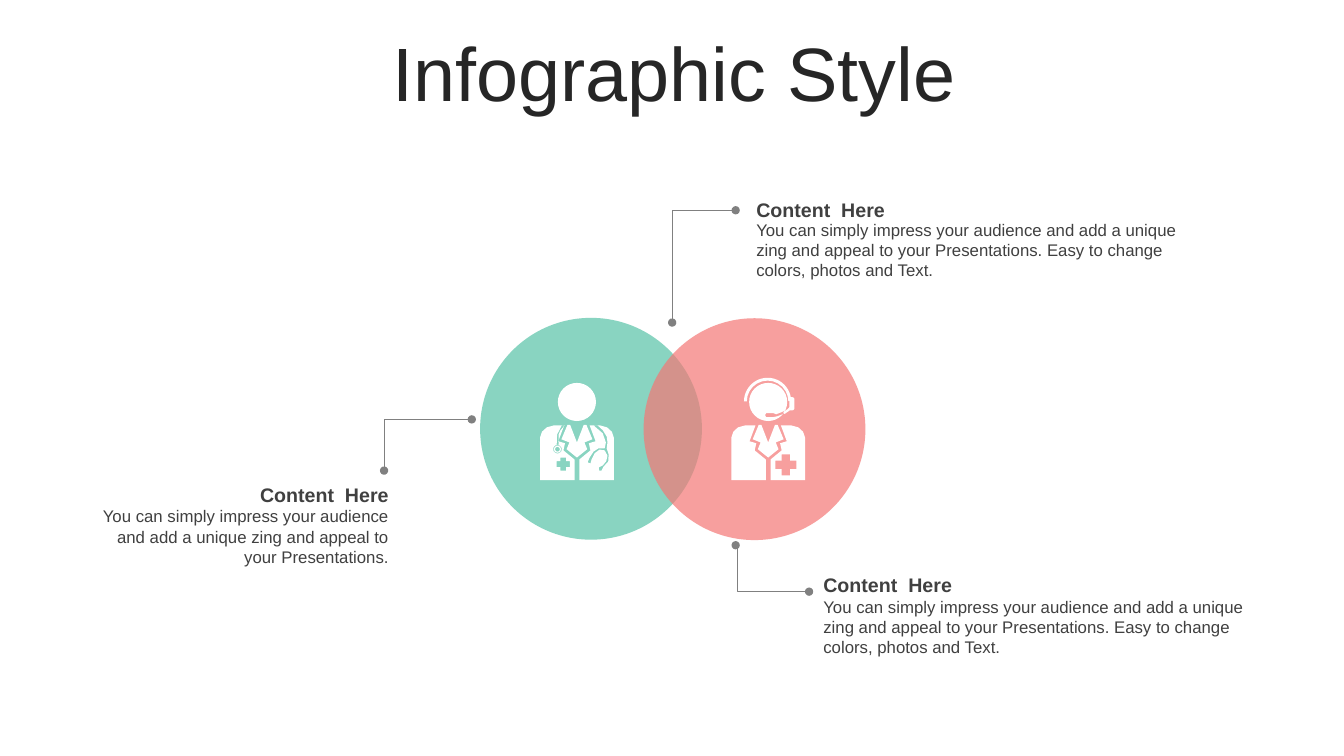
from math import cos, pi, sin

from lxml import etree
from pptx import Presentation
from pptx.dml.color import RGBColor
from pptx.enum.shapes import MSO_CONNECTOR, MSO_SHAPE
from pptx.enum.text import MSO_ANCHOR, MSO_AUTO_SIZE, PP_ALIGN
from pptx.oxml.ns import qn
from pptx.util import Cm, Pt

OVAL = MSO_SHAPE.OVAL
ARC = MSO_SHAPE.BLOCK_ARC
TOPS = MSO_SHAPE.ROUND_2_SAME_RECTANGLE
ELBOW = MSO_CONNECTOR.ELBOW
LEFT, MID, RIGHT = PP_ALIGN.LEFT, PP_ALIGN.CENTER, PP_ALIGN.RIGHT
MIDDLE = MSO_ANCHOR.MIDDLE
GROW = MSO_AUTO_SIZE.SHAPE_TO_FIT_TEXT

WHITE, INK, TEXT, GREY = "FFFFFF", "262626", "404040", "808080"
GREEN, PINK = "57C3A7", "F47775"

SHORT = ("You can simply impress your audience and add a unique "
         "zing and appeal to your Presentations.")
LONG = SHORT + " Easy to change colors, photos and Text."

# Outlines in cm from the top middle of the head; those inside others are holes
COAT = [(0.32, 1.07), (0.58, 1.07), (0.76, 1.12), (0.88, 1.23), (0.93, 1.38),
        (0.93, 2.45), (0.06, 2.45), (0.06, 1.93), (0.34, 1.7), (0.3, 1.52),
        (0.47, 1.47)]
COLLAR = [(0.17, 1.06), (0.24, 1.06), (0.39, 1.42), (0.19, 1.5), (0.26, 1.67)]
TUBE = [(-0.38, 1.07), (-0.5, 1.3), (-0.51, 1.56), (-0.46, 1.56),
        (-0.46, 1.3), (-0.42, 1.2), (-0.31, 1.07)]
LOOP = [(0.42, 1.07), (0.65, 1.27), (0.73, 1.5), (0.7, 1.65), (0.54, 1.65),
        (0.42, 1.73), (0.32, 1.88), (0.27, 2), (0.34, 2.03), (0.37, 1.93),
        (0.45, 1.77), (0.57, 1.68), (0.7, 1.7), (0.77, 1.83), (0.74, 1.97),
        (0.65, 2.08), (0.55, 2.13), (0.56, 2.21), (0.62, 2.21), (0.67, 2.11),
        (0.79, 1.98), (0.8, 1.8), (0.75, 1.65), (0.77, 1.5), (0.75, 1.35),
        (0.65, 1.19), (0.52, 1.07)]
MIKE = [(0.43, 0.69), (0.33, 0.74), (0.2, 0.79), (0.13, 0.76), (-0.05, 0.76),
        (-0.08, 0.81), (-0.05, 0.86), (0.13, 0.86), (0.23, 0.84), (0.36, 0.79)]


def color(hue):
    return RGBColor.from_string(hue)


def paint(part, hue):
    part.shadow.inherit = False
    part.fill.solid()
    part.fill.fore_color.rgb = color(hue)
    part.line.fill.background()
    return part


def shape(parts, kind, x, y, w, h, hue, adj=()):
    part = parts.add_shape(kind, Cm(x), Cm(y), Cm(w), Cm(h))
    for i, val in enumerate(adj):
        part.adjustments[i] = val
    return paint(part, hue)


def text(parts, x, y, w, h, words, size, hue, align, bold=False):
    box = parts.add_textbox(Cm(x), Cm(y), Cm(w), Cm(h))
    frame = box.text_frame
    frame.word_wrap = True
    frame.text = words
    para = frame.paragraphs[0]
    para.alignment = align
    font = para.runs[0].font
    font.name, font.size, font.bold = "Arial", Pt(size), bold
    font.color.rgb = color(hue)
    return frame


def title(parts, x, y, w, h):
    frame = text(parts, x, y, w, h, "Infographic Style", 54, INK, MID)
    frame.vertical_anchor = MIDDLE
    frame.paragraphs[0].line_spacing = 0.9


def note(parts, x, y, w, drop, words, align):
    group = parts.add_group_shape().shapes
    head = text(group, x, y, w, 0.86, "Content  Here", 14, TEXT, align, True)
    body = text(group, x, y + drop, w, 1.8, words, 12, TEXT, align)
    head.auto_size = body.auto_size = GROW


def ring(parts, x, y, size, hue):
    part = shape(parts, OVAL, x, y, size, size, hue)
    tone = part.fill._xPr.find(qn("a:solidFill"))[0]
    etree.SubElement(tone, qn("a:alpha")).set("val", "70000")


def link(parts, x, y, to_x, to_y, bend=700):
    line = parts.add_connector(ELBOW, Cm(x), Cm(y), Cm(to_x), Cm(to_y))
    line.line.color.rgb = color(GREY)
    line.line.width = Pt(0.5)
    props = line._element.spPr
    # Turn right at the start, so that the line makes one corner
    turn = etree.SubElement(props.find(qn("a:prstGeom")).find(qn("a:avLst")),
                            qn("a:gd"))
    turn.set("name", "adj1")
    turn.set("fmla", f"val {bend}")
    for end in ("a:headEnd", "a:tailEnd"):
        etree.SubElement(props.find(qn("a:ln")), qn(end)).set("type", "oval")
    etree.SubElement(props, qn("a:effectLst"))


def flip(points):
    return [(-dx, dy) for dx, dy in points]


def round_(x, y, r, count):
    turns = [2 * pi * i / count for i in range(count)]
    return [(x + r * cos(t), y + r * sin(t)) for t in turns]


def cross(x, y, size, arm):
    """Outline of a plus sign with its top left corner at x, y."""
    a, b = (size - arm) / 2, (size + arm) / 2
    spots = [(a, 0), (b, 0), (b, a), (size, a), (size, b), (b, b),
             (b, size), (a, size), (a, b), (0, b), (0, a), (a, a)]
    return [(x + dx, y + dy) for dx, dy in spots]


def person(parts, x, y, marks):
    """Head and coat with the given marks cut out, as one shape."""
    collar = COLLAR + [(0, 1.88)] + flip(COLLAR)[::-1] + [(0, 1.5)]
    loops = [round_(0, 0.48, 0.48, 32), COAT, flip(COAT), collar] + marks
    form = None
    for loop in loops:
        spots = [(Cm(x + dx), Cm(y + dy)) for dx, dy in loop]
        if form is None:
            form = parts.build_freeform(*spots[0], scale=1.0)
        else:
            form.move_to(*spots[0])
        form.add_line_segments(spots[1:], close=True)
    paint(form.convert_to_shape(), WHITE)


def doctor(parts, x, y):
    disc = [round_(-0.49, 1.67, r, 12) for r in (0.11, 0.09, 0.06)]
    person(parts, x, y, [cross(-0.51, 1.88, 0.33, 0.15), TUBE, LOOP] + disc)


def nurse(parts, x, y):
    group = parts.add_group_shape().shapes
    person(group, x, y, [cross(0.18, 1.8, 0.53, 0.21), MIKE])
    # Headset
    shape(group, ARC, x - 0.61, y - 0.13, 1.19, 1.19, WHITE,
          (108, 215.41, 0.06))
    ear = shape(group, TOPS, x + 0.43, y + 0.46, 0.33, 0.13, WHITE, (0.4, 0))
    ear.rotation = 90
    shape(group, ARC, x - 0.66, y - 0.58, 1.45, 1.45, WHITE,
          (24.82, 36.97, 0.04))


def main():
    deck = Presentation()
    deck.slide_width, deck.slide_height = Cm(33.87), Cm(19.05)
    parts = deck.slides.add_slide(deck.slide_layouts[6]).shapes

    title(parts, 0.91, 0.94, 32.16, 2)

    # Overlapping circles
    pair = parts.add_group_shape().shapes
    ring(pair, 12.1, 8.01, 5.59, GREEN)
    ring(pair, 16.22, 8.02, 5.59, PINK)

    # Notes and their leader lines
    link(parts, 16.94, 8.13, 18.54, 5.3)
    note(parts, 18.81, 4.87, 11.5, 0.53, LONG, LEFT)
    note(parts, 20.5, 14.31, 11.46, 0.6, LONG, LEFT)
    note(parts, 2.28, 12.04, 7.77, 0.59, SHORT, RIGHT)
    link(parts, 9.68, 11.86, 11.89, 10.57)
    link(parts, 18.54, 13.74, 20.39, 14.91, 1800)

    # Icons
    doctor(parts, 14.54, 9.65)
    nurse(parts, 19.36, 9.65)

    deck.save("out.pptx")


if __name__ == "__main__":
    main()
